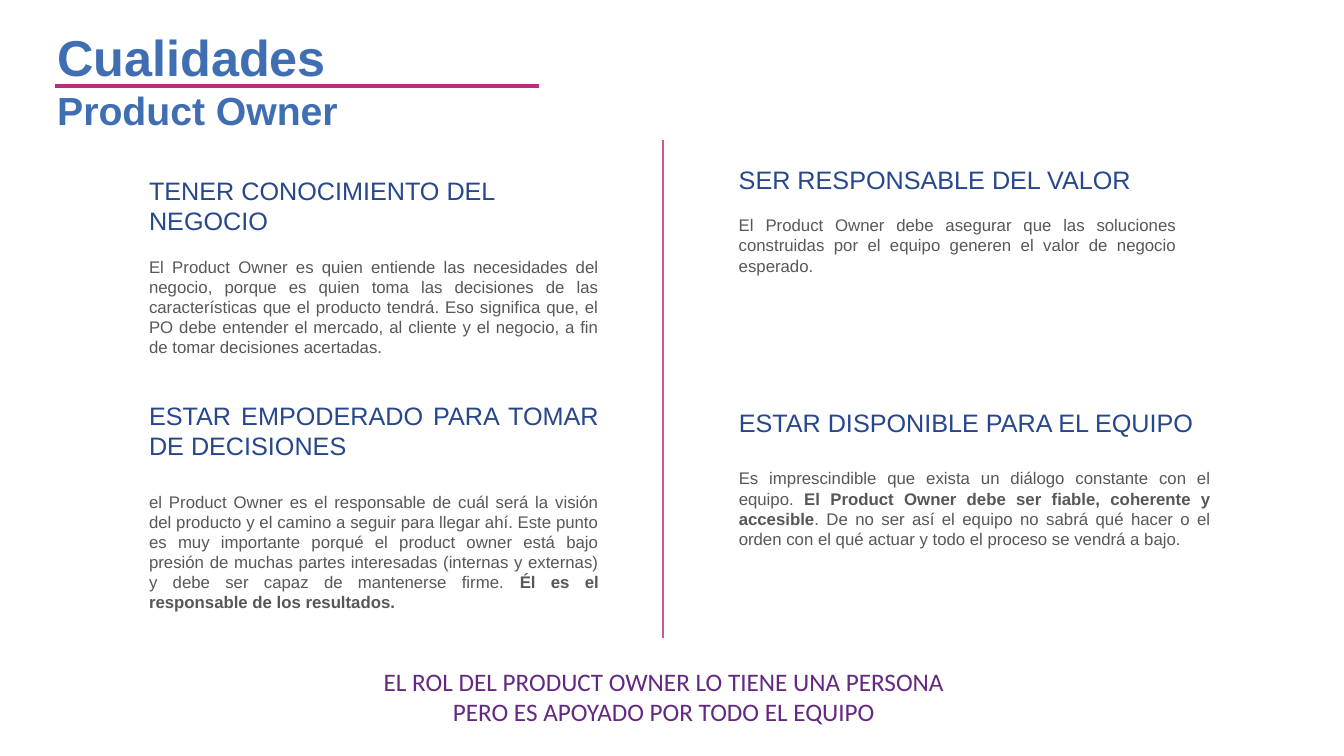
import pptx
import pptx.dml.color
import pptx.enum.shapes
import pptx.enum.text
import pptx.oxml
import pptx.util

Pt = pptx.util.Pt
RGBColor = pptx.dml.color.RGBColor
Align = pptx.enum.text.PP_ALIGN

TITLE_BLUE = RGBColor(0x40, 0x6E, 0xB3)
HEADING_BLUE = RGBColor(0x26, 0x47, 0x8D)
BODY_GREY = RGBColor(0x57, 0x57, 0x56)
PURPLE = RGBColor(0x63, 0x28, 0x81)
MAGENTA = RGBColor(0xBA, 0x2F, 0x7D)
PINK = RGBColor(0xC8, 0x59, 0x97)

LEFT_COLUMN, RIGHT_COLUMN = 99.4, 520.6
SMALL_GAP, LARGE_GAP = 14.6, 22


def write(para, text, size, color, font="Arial", bold=False):
    span = para.add_run()
    span.text = text
    span.font.size = Pt(size)
    span.font.name = font
    span.font.bold = bold
    span.font.color.rgb = color


class Page:
    def __init__(self, deck):
        self.slide = deck.slides.add_slide(deck.slide_layouts[6])

    def text_box(self, left, top, width, height, wrap=True):
        box = self.slide.shapes.add_textbox(Pt(left), Pt(top), Pt(width), Pt(height))
        box.text_frame.word_wrap = wrap
        return box.text_frame

    def rule(self, start, end, color, weight):
        line = self.slide.shapes.add_connector(
            pptx.enum.shapes.MSO_CONNECTOR.STRAIGHT,
            Pt(start[0]), Pt(start[1]), Pt(end[0]), Pt(end[1]))
        line.line.color.rgb = color
        line.line.width = Pt(weight)
        properties = line._element.spPr
        properties.append(pptx.oxml.parse_xml(
            '<a:effectLst xmlns:a="http://schemas.openxmlformats.org/drawingml/2006/main"/>'))

    def quality(self, place, heading, body, gap, align=Align.LEFT):
        """Add a heading over a justified body of (text, bold) parts."""
        frame = self.text_box(*place)
        title = frame.paragraphs[0]
        title.alignment = align
        write(title, heading, 18, HEADING_BLUE)
        para = frame.add_paragraph()
        para.alignment = Align.JUSTIFY
        para.space_before = Pt(gap)
        for text, bold in body:
            write(para, text, 12, BODY_GREY, bold=bold)


def main():
    deck = pptx.Presentation()
    deck.slide_width, deck.slide_height = Pt(960), Pt(540)
    page = Page(deck)

    title = page.text_box(33.8, 15.1, 217.4, 100, wrap=False)
    write(title.paragraphs[0], "Cualidades", 36, TITLE_BLUE, bold=True)
    write(title.add_paragraph(), "Product Owner", 28, TITLE_BLUE, bold=True)
    page.rule((39.6, 61.2), (385.2, 61.2), MAGENTA, 3)

    page.quality(
        (LEFT_COLUMN, 121.7, 335.5, 138.2), "TENER CONOCIMIENTO DEL NEGOCIO",
        [("El Product Owner es quien entiende las necesidades del negocio, porque es quien "
          "toma las decisiones de las características que el producto tendrá. Eso significa "
          "que, el PO debe entender el mercado, al cliente y el negocio, a fin de tomar "
          "decisiones acertadas.", False)], SMALL_GAP)
    page.quality(
        (LEFT_COLUMN, 282.2, 335.5, 159.8), "ESTAR EMPODERADO PARA TOMAR DE DECISIONES",
        [("el Product Owner es el responsable de cuál será la visión del producto y el camino "
          "a seguir para llegar ahí. Este punto es muy importante porqué el product owner está "
          "bajo presión de muchas partes interesadas (internas y externas) y debe ser capaz de "
          "mantenerse firme. ", False),
         ("Él es el responsable de los resultados.", True)], LARGE_GAP, Align.JUSTIFY)
    page.quality(
        (RIGHT_COLUMN, 113.8, 326.9, 87.1), "SER RESPONSABLE DEL VALOR",
        [("El Product Owner debe asegurar que las soluciones construidas por el equipo generen "
          "el valor de negocio esperado.", False)], SMALL_GAP, Align.JUSTIFY)
    page.quality(
        (RIGHT_COLUMN, 287.3, 351.4, 131), "ESTAR DISPONIBLE PARA EL EQUIPO",
        [("Es imprescindible que exista un diálogo constante con el equipo. ", False),
         ("El Product Owner debe ser fiable, coherente y accesible", True),
         (". De no ser así el equipo no sabrá qué hacer o el orden con el qué actuar y todo el "
          "proceso se vendrá a bajo.", False)], LARGE_GAP)

    page.rule((473.8, 455.8), (473.8, 100.1), PINK, 1.5)
    closing = page.text_box(250.6, 472.3, 447.1, 51.1).paragraphs[0]
    closing.alignment = Align.CENTER
    write(closing, "EL ROL DEL PRODUCT OWNER LO TIENE UNA PERSONA PERO ES APOYADO POR TODO EL EQUIPO",
          18, PURPLE, font="Calibri")
    deck.save("out.pptx")


if __name__ == "__main__":
    main()
